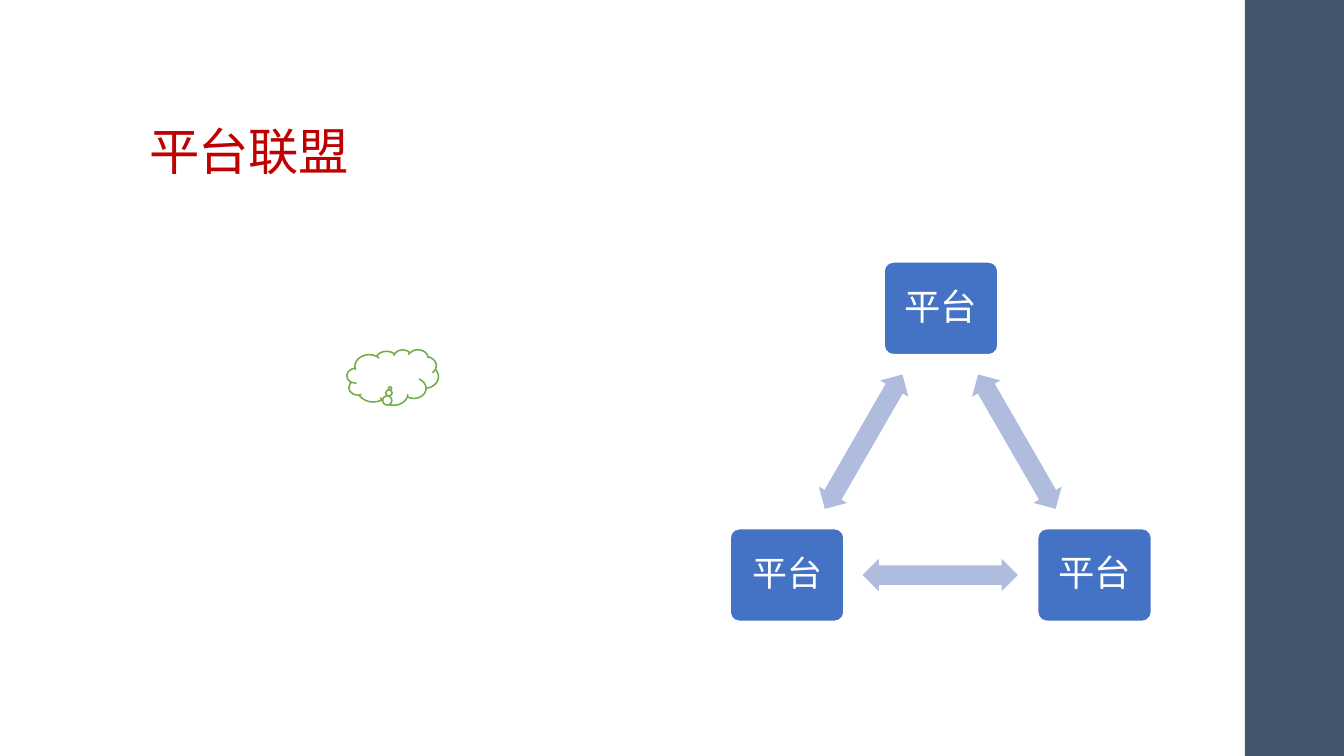
from lxml.etree import SubElement
from pptx import Presentation
from pptx.dml.color import RGBColor
from pptx.enum.shapes import MSO_SHAPE
from pptx.enum.text import MSO_ANCHOR, PP_ALIGN
from pptx.oxml.ns import qn
from pptx.util import Cm, Pt

FONT = "Noto Sans CJK SC"


def add_figure(kind, left, top, width, height, fill, line=None, adjustments=()):
    shape = slide.shapes.add_shape(kind, Cm(left), Cm(top), Cm(width), Cm(height))
    shape.shadow.inherit = False
    shape.fill.solid()
    shape.fill.fore_color.rgb = RGBColor.from_string(fill)
    if line:
        shape.line.color.rgb = RGBColor.from_string(line)
        shape.line.width = Pt(1.1)
    else:
        shape.line.fill.background()
    for index, value in enumerate(adjustments):
        shape.adjustments[index] = value
    return shape


def add_text(shape, text, size, color, anchor, alignment, insets):
    frame = shape.text_frame
    frame.word_wrap = True
    frame.vertical_anchor = anchor
    frame.margin_left, frame.margin_top, frame.margin_right, frame.margin_bottom = map(Cm, insets)
    paragraph = frame.paragraphs[0]
    paragraph.alignment = alignment
    paragraph.line_spacing = 0.9
    run = paragraph.add_run()
    run.text = text
    run.font.size = Pt(size)
    run.font.color.rgb = RGBColor.from_string(color)
    run.font.name = FONT
    properties = run.font._element
    SubElement(properties, qn("a:ea")).set("typeface", FONT)
    return properties


presentation = Presentation()
presentation.slide_width = Cm(33.87)
presentation.slide_height = Cm(19.05)
slide = presentation.slides.add_slide(presentation.slide_layouts[6])

add_figure(MSO_SHAPE.RECTANGLE, 31.37, 0, 2.5, 19.05, "44546A")

title = slide.shapes.add_textbox(Cm(3.51), Cm(0.74), Cm(26.92), Cm(3.96))
title_properties = add_text(title, "平台联盟", 36, "C00000", MSO_ANCHOR.BOTTOM,
                            PP_ALIGN.LEFT, (0.25, 0.08, 0.25, 0.13))
title_properties.set("spc", "-50")

platforms = [(22.28, 6.6, 26), (26.15, 13.32, 26), (18.4, 13.32, 25)]
for left, top, size in platforms:
    platform = add_figure(MSO_SHAPE.ROUNDED_RECTANGLE, left, top, 2.87, 2.34,
                          "4472C4", "FFFFFF", [0.1])
    add_text(platform, "平台", size, "FFFFFF", MSO_ANCHOR.MIDDLE,
             PP_ALIGN.CENTER, (0.34,) * 4)

links = [(23.67, 10.72, 60), (21.74, 14.08, 180), (19.81, 10.72, 300)]
for left, top, angle in links:
    link = add_figure(MSO_SHAPE.LEFT_RIGHT_ARROW, left, top, 3.91, 0.82,
                      "B0BCDE", adjustments=[0.6, 0.5])
    link.rotation = angle

add_figure(MSO_SHAPE.CLOUD_CALLOUT, 8.74, 8.81, 2.31, 1.4,
           "FFFFFF", "70AD47", [-0.028, 0.199])

presentation.save("out.pptx")
